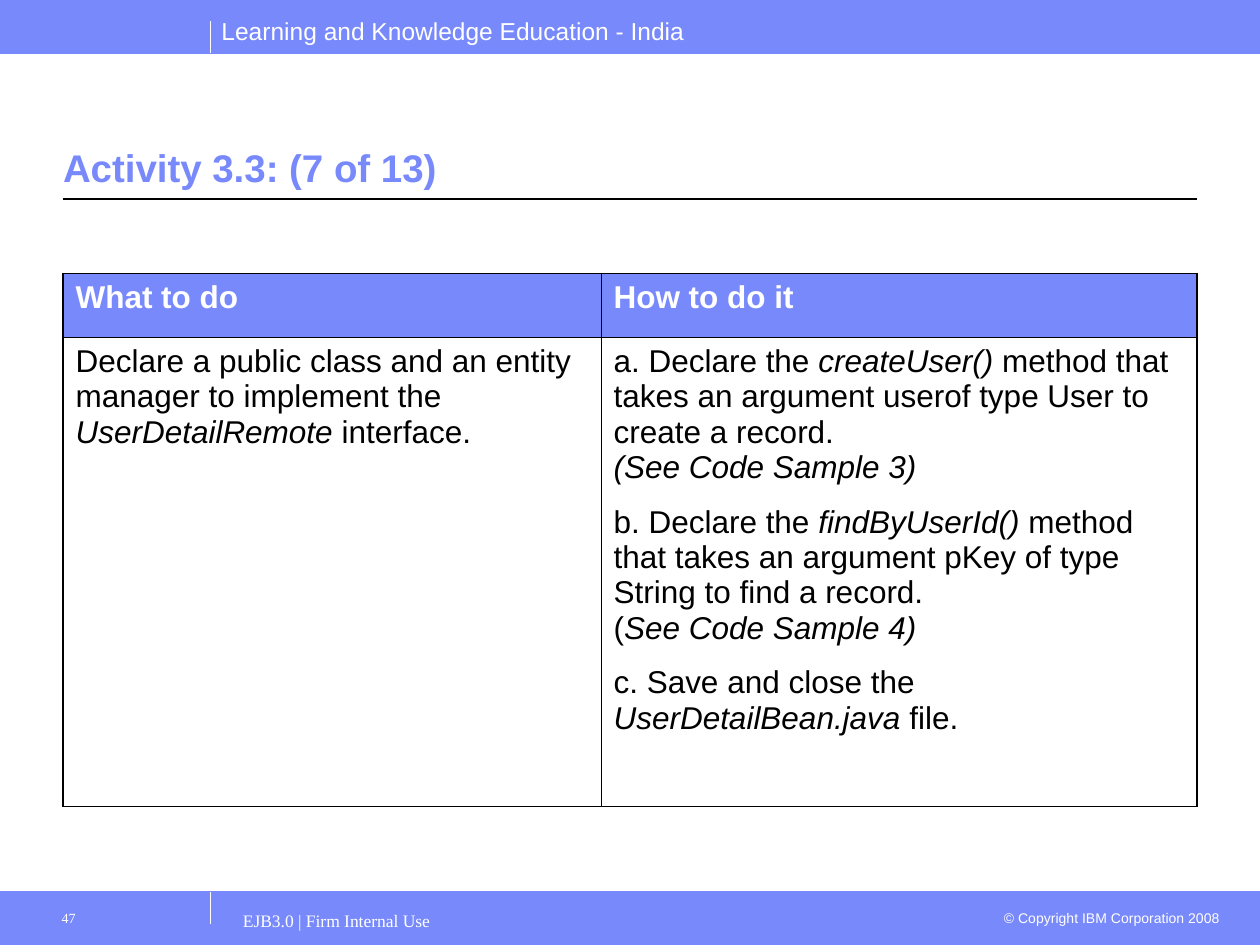
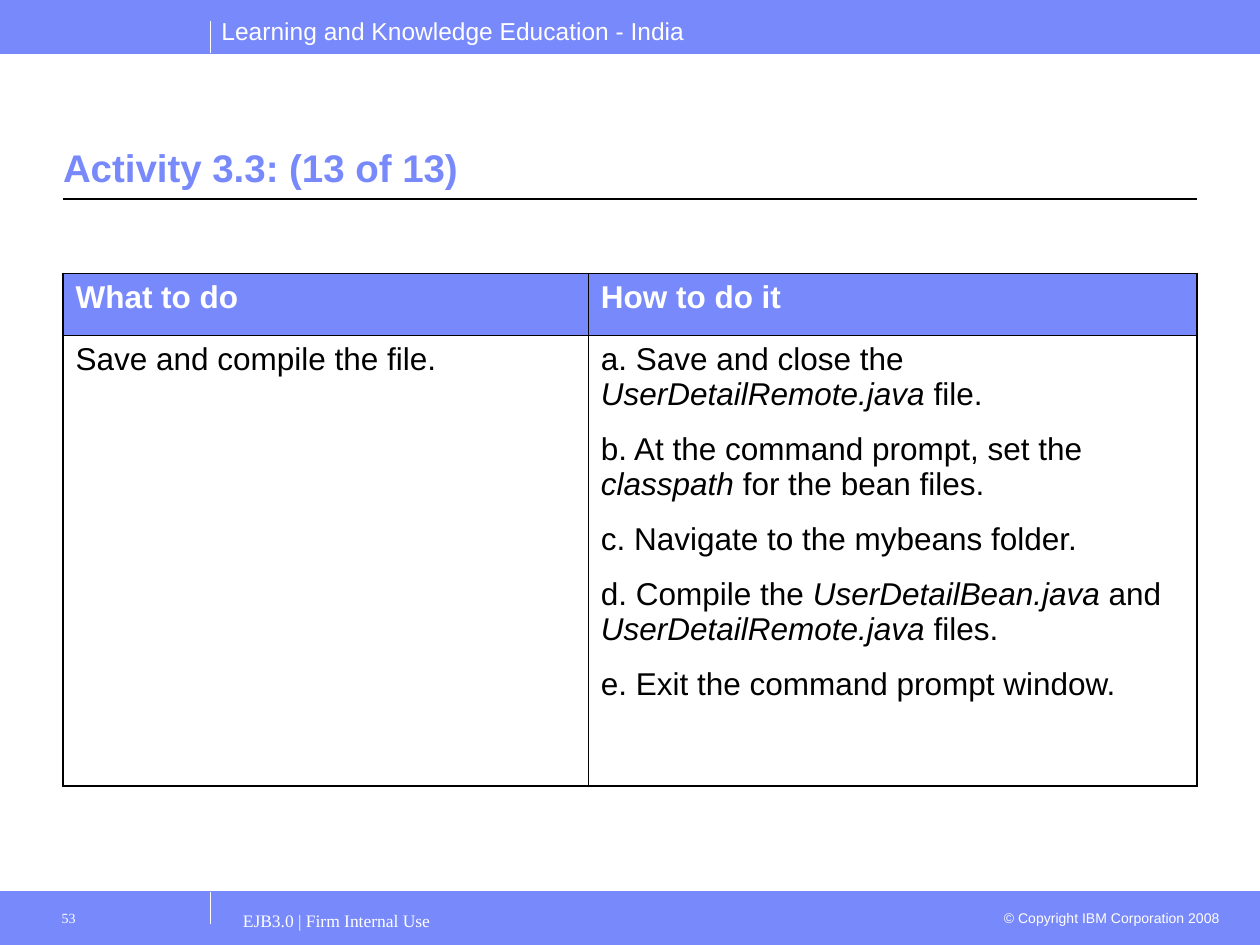
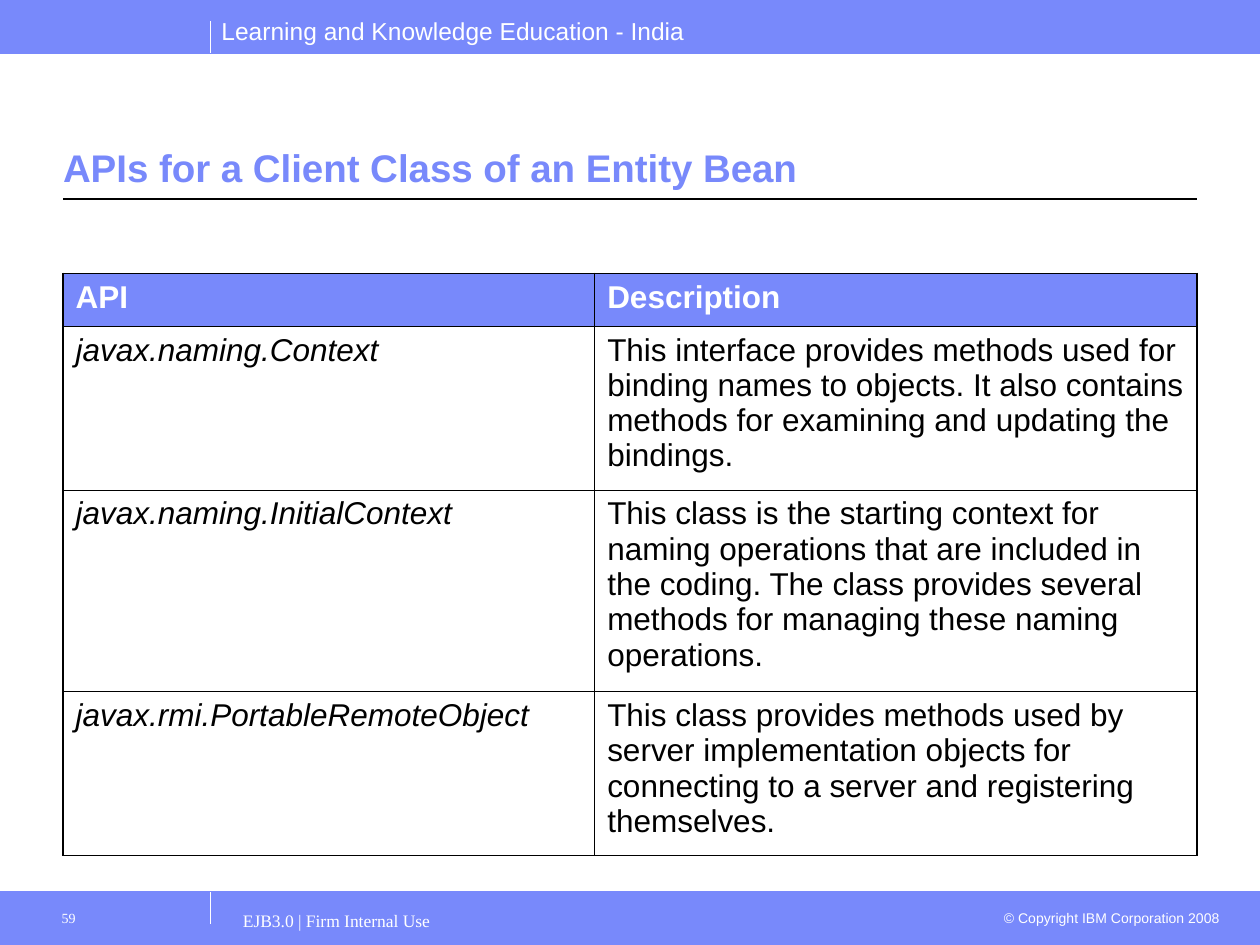
"""Builds three table slides on one banded layout and saves them."""
from lxml import etree
from pptx import Presentation
from pptx.dml.color import RGBColor
from pptx.enum.shapes import MSO_CONNECTOR, MSO_SHAPE
from pptx.enum.text import MSO_ANCHOR, MSO_AUTO_SIZE, PP_ALIGN
from pptx.oxml.ns import qn
from pptx.util import Inches, Pt

LEFT, RIGHT = PP_ALIGN.LEFT, PP_ALIGN.RIGHT
BOTTOM, TOP = MSO_ANCHOR.BOTTOM, MSO_ANCHOR.TOP
FIXED = MSO_AUTO_SIZE.NONE
RECT, LINE = MSO_SHAPE.RECTANGLE, MSO_CONNECTOR.STRAIGHT

HEADER = "Learning and Knowledge Education - India"
FOOTER = "EJB3.0 | Firm Internal Use"
RIGHTS = "© Copyright IBM Corporation 2008"
STEPS = ["What to do"], ["How to do it"]

SLIDES = [
    {
        "title": "Activity 3.3: (7 of 13)", "page": "47",
        "split": 4.27, "rows": [0.51, 3.72],
        "cells": [
            STEPS,
            (["Declare a public class and an entity manager to implement the "
              "*UserDetailRemote* interface."],
             ["a. Declare the *createUser()* method that takes an argument "
              "userof type User to create a record.\n*(See Code Sample 3)*",
              "b. Declare the *findByUserId()* method that takes an argument "
              "pKey of type String to find a record.\n(*See Code Sample 4)*",
              "c. Save and close the *UserDetailBean.java* file."]),
        ],
    },
    {
        "title": "Activity 3.3: (13 of 13)", "page": "53",
        "split": 4.17, "rows": [0.49, 3.58],
        "cells": [
            STEPS,
            (["Save and compile the file."],
             ["a. Save and close the *UserDetailRemote.java* file.",
              "b. At the command prompt, set the *classpath* for the bean files.",
              "c. Navigate to the mybeans folder.",
              "d. Compile the *UserDetailBean.java* and "
              "*UserDetailRemote.java* files.",
              "e. Exit the command prompt window."]),
        ],
    },
    {
        "title": "APIs for a Client Class of an Entity Bean", "page": "59",
        "split": 4.22, "rows": [0.42, 1.3, 1.6, 1.3],
        "cells": [
            (["API"], ["Description"]),
            (["*javax.naming.Context*"],
             ["This interface provides methods used for binding names to "
              "objects. It also contains methods for examining and updating "
              "the bindings."]),
            (["*javax.naming.InitialContext*"],
             ["This class is the starting context for naming operations that "
              "are included in the coding. The class provides several methods "
              "for managing these naming operations."]),
            (["*javax.rmi.PortableRemoteObject*"],
             ["This class provides methods used by server implementation "
              "objects for connecting to a server and registering themselves."]),
        ],
    },
]

COLORS = {"band": "7889FB", "ink": "000000", "paper": "FFFFFF"}
SANS, SERIF = "Arial", "Times New Roman"
WIDE, HIGH = 10, 7.5
BAND, EDGE, MARK = 0.42, 0.5, 1.67
BASE = HIGH - BAND
BODY = WIDE - 2 * EDGE
RULE, TICK = 1.58, 0.25
THICK, THIN = 1.08, 0.45


def color(name):
    return RGBColor.from_string(COLORS[name])


def write(frame, paras, size=18, tint="ink", face=SANS, bold=False,
          align=LEFT, after=0):
    for num, text in enumerate(paras):
        para = frame.paragraphs[0] if num == 0 else frame.add_paragraph()
        para.alignment = align
        para.space_after = Pt(after)
        for part, chunk in enumerate(text.split("*")):
            for row, words in enumerate(chunk.split("\n")):
                if row:
                    para.add_line_break()
                if words:
                    run = para.add_run()
                    run.text = words
                    font = run.font
                    font.name, font.size = face, Pt(size)
                    font.bold, font.italic = bold, part % 2 == 1
                    font.color.rgb = color(tint)


def add_text(slide, text, box, left=0.1, top=0.05, **style):
    frame = slide.shapes.add_textbox(*map(Inches, box)).text_frame
    frame.word_wrap = True
    frame.margin_left, frame.margin_top = Inches(left), Inches(top)
    write(frame, [text], tint="paper", **style)


def add_band(slide, top):
    band = slide.shapes.add_shape(RECT, *map(Inches, (0, top, WIDE, BAND)))
    band.shadow.inherit = False
    band.fill.solid()
    band.fill.fore_color.rgb = band.line.color.rgb = color("band")
    band.line.width = Pt(0.75)


def add_line(slide, ends, tint, width=0.75):
    line = slide.shapes.add_connector(LINE, *map(Inches, ends))
    line.line.color.rgb = color(tint)
    line.line.width = Pt(width)
    etree.SubElement(line.element.spPr, qn("a:effectLst"))


def add_frame(slide):
    for top in (BASE, 0):
        add_band(slide, top)
    add_text(slide, HEADER, (1.66, 0.08, 4.2, 0.34), size=14)
    add_text(slide, RIGHTS, (7.83, 7.17, 1.95, 0.24), size=8, align=RIGHT)
    for edge, end in ((BASE, BASE + TICK), (BAND, BAND - TICK)):
        add_line(slide, (0, edge, WIDE, edge), "band", 0.5)
        add_line(slide, (MARK, edge, MARK, end), "paper")
    add_line(slide, (EDGE, RULE, WIDE - EDGE, RULE), "ink")


def share_frame(slide):
    add_frame(slide)
    for shape in list(slide.shapes):
        if not shape.is_placeholder:
            slide.slide_layout.shapes.element.append(shape.element)


def add_title(slide, text):
    title = slide.shapes.title
    title.left, title.top, title.width, title.height = map(
        Inches, (EDGE, 0.64, BODY, 0.92))
    frame = title.text_frame
    frame.auto_size, frame.vertical_anchor = FIXED, BOTTOM
    frame.margin_left = frame.margin_right = 0
    write(frame, [text], size=22, tint="band", bold=True)


def add_edges(cell, outer):
    props = cell._tc.get_or_add_tcPr()
    for side, wide in zip("LRTB", outer):
        line = etree.SubElement(props, qn("a:ln" + side),
                                w=str(Pt(THICK if wide else THIN)))
        fill = etree.SubElement(line, qn("a:solidFill"))
        etree.SubElement(fill, qn("a:srgbClr"), val=COLORS["ink"])


def add_grid(slide, cells, rows, split):
    cols = split, BODY - split
    grid = slide.shapes.add_table(
        len(rows), len(cols),
        *map(Inches, (EDGE, 2.17, BODY, sum(rows)))).table
    grid.first_row = grid.horz_banding = False
    for col, width in zip(grid.columns, cols):
        col.width = Inches(width)
    for y, height in enumerate(rows):
        grid.rows[y].height = Inches(height)
        for x, paras in enumerate(cells[y]):
            cell, head = grid.cell(y, x), y == 0
            cell.vertical_anchor = TOP
            add_edges(cell, (x == 0, x == len(cols) - 1,
                             head, y == len(rows) - 1))
            if head:
                cell.fill.solid()
                cell.fill.fore_color.rgb = color("band")
            else:
                cell.fill.background()
            write(cell.text_frame, paras, tint="paper" if head else "ink",
                  bold=head, after=11.2)


def main():
    deck = Presentation()
    deck.slide_width, deck.slide_height = Inches(WIDE), Inches(HIGH)
    for num, data in enumerate(SLIDES):
        slide = deck.slides.add_slide(deck.slide_layouts[5])
        if num == 0:
            share_frame(slide)
        add_title(slide, data["title"])
        add_grid(slide, data["cells"], data["rows"], data["split"])
        add_text(slide, FOOTER, (1.83, 7.15, 6, 0.35), top=0.07,
                 size=10, face=SERIF)
        add_text(slide, data["page"], (0.33, 7.15, 1.33, 0.35), left=0.16,
                 top=0.07, size=8, face=SERIF)
    deck.save("out.pptx")


if __name__ == "__main__":
    main()
